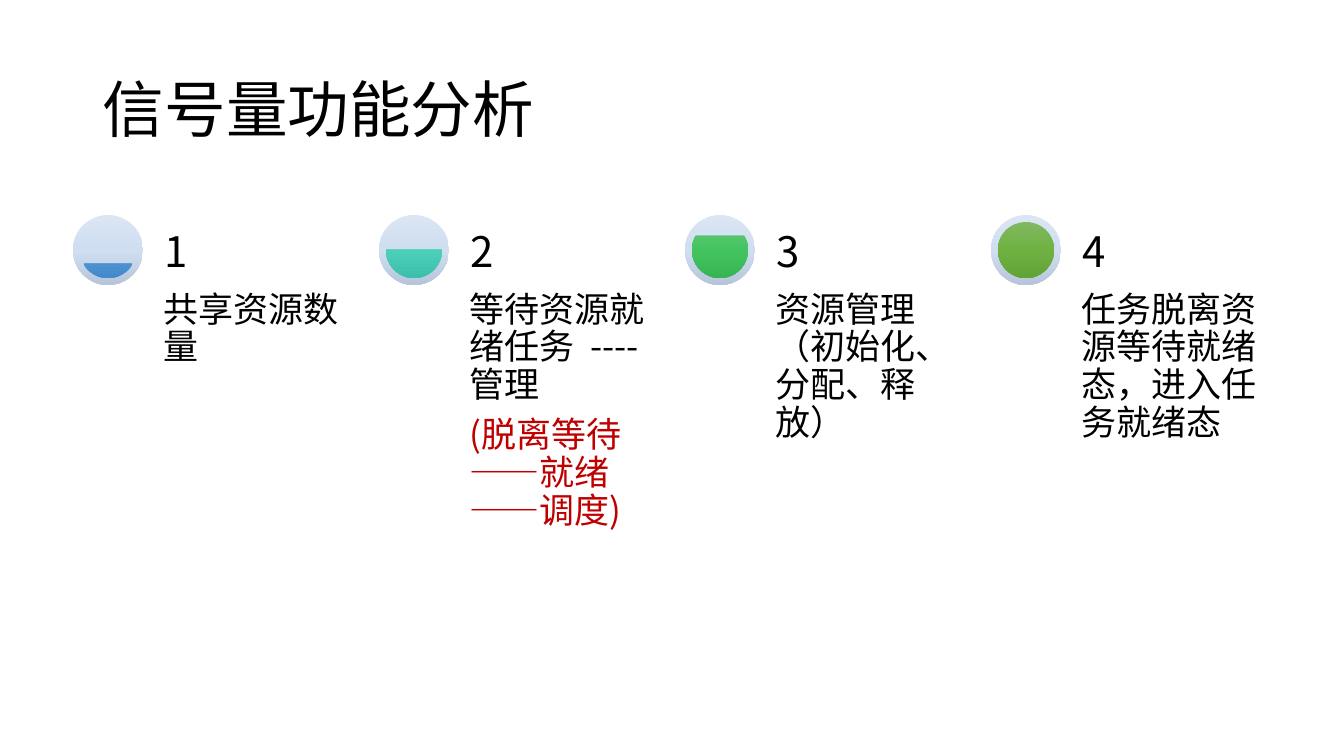
"""Build the slide on what a semaphore does: a title and four filling dials."""
from copy import deepcopy

from lxml.etree import SubElement
from pptx import Presentation
from pptx.dml.color import RGBColor as RGB
from pptx.enum.shapes import MSO_SHAPE as SHAPE
from pptx.enum.text import MSO_ANCHOR as ANCHOR
from pptx.oxml.ns import qn
from pptx.util import Pt

FACE = "Noto Sans CJK SC"
BLACK = RGB(0x00, 0x00, 0x00)
RED = RGB(0xC0, 0x00, 0x00)
PALE = RGB(0xDB, 0xE5, 0xF3), RGB(0xD0, 0xDE, 0xF1), RGB(0xB6, 0xC5, 0xD9)
BLUE = RGB(0x71, 0xA6, 0xDB), RGB(0x55, 0x9B, 0xDB), RGB(0x44, 0x8A, 0xCA)
TEAL = RGB(0x6A, 0xD1, 0xC0), RGB(0x4C, 0xD0, 0xBC), RGB(0x3C, 0xC0, 0xAC)
GREEN = RGB(0x64, 0xC6, 0x77), RGB(0x44, 0xC4, 0x60), RGB(0x36, 0xB5, 0x52)
OLIVE = RGB(0x81, 0xB8, 0x61), RGB(0x6F, 0xB2, 0x42), RGB(0x62, 0xA3, 0x36)

TITLE = "信号量功能分析"
ITEMS = [
    (BLUE, (18, 90), [("共享资源数量", BLACK)]),
    (TEAL, (0, 108), [("等待资源就绪任务  ---- 管理", BLACK),
                      ("(脱离等待——就绪——调度)", RED)]),
    (GREEN, (198, 126), [("资源管理（初始化、分配、释放）", BLACK)]),
    (OLIVE, (162, 162), [("任务脱离资源等待就绪态，进入任务就绪态", BLACK)]),
]

LEFT, TOP, STEP = 73, 215, 306
DIAL, RIM = 70, 7
INDENT, WIDTH, DEPTH = 84, 207, 294


def px(*sizes):
    """Turn pixels into EMU."""
    return [round(size * 914400 / 100.8) for size in sizes]


def add_dial(slide, kind, box, tones):
    """Add a round shape shaded from top to bottom in three tones."""
    dial = slide.shapes.add_shape(kind, *px(*box))
    dial.shadow.inherit = False
    dial.line.fill.background()
    dial.fill.gradient()
    dial.fill.gradient_angle = 270
    stops = dial._element.spPr.find(qn("a:gradFill")).find(qn("a:gsLst"))
    stops.insert(1, deepcopy(stops[0]))
    for stop, tone, place in zip(dial.fill.gradient_stops, tones, (0, 0.5, 1)):
        stop.color.rgb = tone
        stop.position = place
    return dial


def add_text(slide, box, lines, size, anchor, side, edge):
    """Add a wrapped text box with one paragraph for each line."""
    frame = slide.shapes.add_textbox(*px(*box)).text_frame
    frame.word_wrap = True
    frame.vertical_anchor = anchor
    frame.margin_left, frame.margin_right = px(side, side)
    frame.margin_top, frame.margin_bottom = px(edge, edge)
    frame.text = "\n".join(text for text, _ in lines)
    for para, (_, color) in zip(frame.paragraphs, lines):
        para.line_spacing = 0.9
        para.font.size = Pt(size)
        para.font.color.rgb = color
        para.font.name = FACE
        props = para._p.pPr.find(qn("a:defRPr"))
        SubElement(props, qn("a:ea")).set("typeface", FACE)
    for para in frame.paragraphs[:-1]:
        para.space_after = Pt(size * 0.35)


def main():
    """Lay out the title and the four columns, then save."""
    deck = Presentation()
    deck.slide_width, deck.slide_height = px(1344, 756)
    slide = deck.slides.add_slide(deck.slide_layouts[6])
    add_text(slide, (93, 40, 1159, 146), [(TITLE, BLACK)], 44, ANCHOR.MIDDLE, 10, 5)
    for index, (tones, arc, lines) in enumerate(ITEMS):
        left = LEFT + index * STEP
        inner = DIAL - 2 * RIM
        add_dial(slide, SHAPE.OVAL, (left, TOP, DIAL, DIAL), PALE)
        level = add_dial(slide, SHAPE.CHORD, (left + RIM, TOP + RIM, inner, inner), tones)
        level.adjustments[0], level.adjustments[1] = arc
        column = left + INDENT
        add_text(slide, (column, TOP + DIAL, WIDTH, DEPTH), lines, 25, ANCHOR.TOP, 7, 7)
        number = [(str(index + 1), BLACK)]
        add_text(slide, (column, TOP, WIDTH, DIAL), number, 30, ANCHOR.BOTTOM, 8, 8)
    deck.save("out.pptx")


if __name__ == "__main__":
    main()
